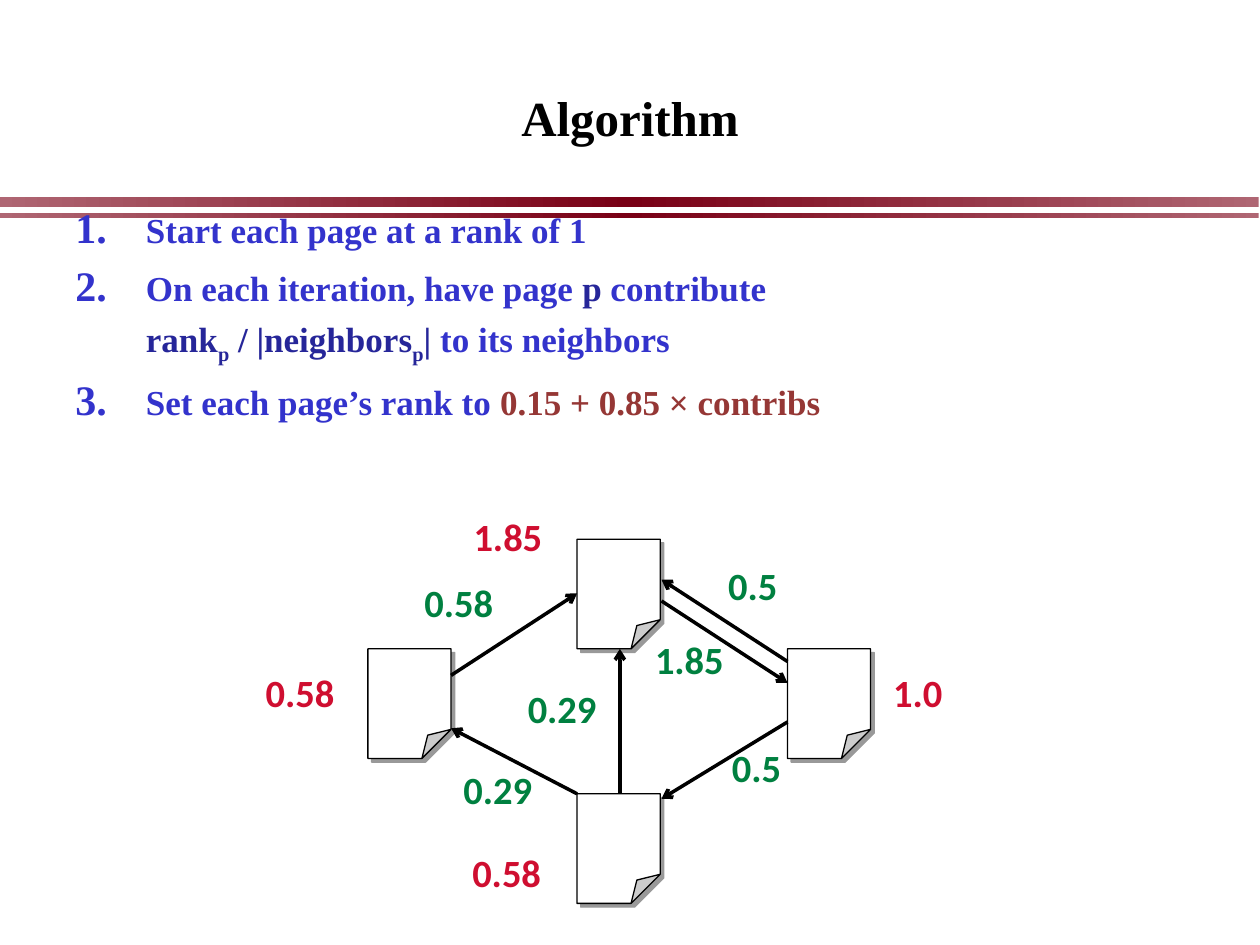
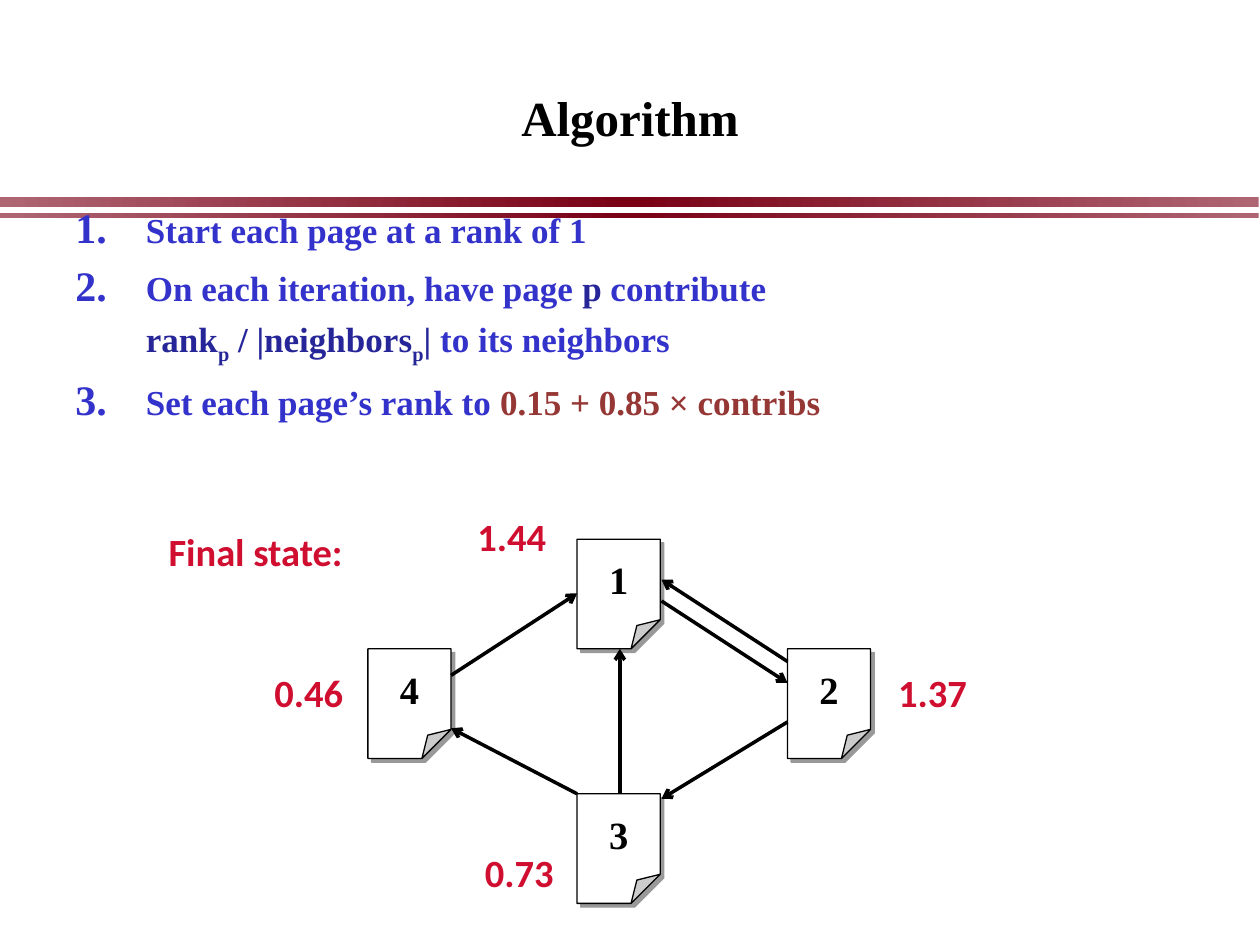
from copy import deepcopy

from lxml.etree import SubElement
from pptx import Presentation
from pptx.dml.color import RGBColor
from pptx.enum.shapes import MSO_CONNECTOR, MSO_SHAPE
from pptx.enum.text import MSO_ANCHOR, MSO_AUTO_SIZE, PP_ALIGN
from pptx.oxml.ns import qn
from pptx.util import Inches, Pt

COLOURS = {
    "ink": "000000",
    "paper": "FFFFFF",
    "band_edge": "AF6673",
    "band_middle": "790015",
    "step": "3333CC",
    "variable": "262699",
    "formula": "953735",
    "rank": "CF0E30",
    "contribution": "008040",
}
SERIF, SANS = "Times New Roman", "Calibri"
TITLE_ONLY = 5

# Each step is a list of (text, colour, is subscript); "\n" breaks the line.
STEPS = [
    [("Start each page at a rank of 1", "step", False)],
    [
        ("On each iteration, have page ", "step", False),
        ("p", "variable", False),
        (" contribute", "step", False),
        ("\n", "step", False),
        ("rank", "variable", False),
        ("p", "variable", True),
        (" / |neighbors", "variable", False),
        ("p", "variable", True),
        ("|", "variable", False),
        (" to its neighbors", "step", False),
    ],
    [
        ("Set each page’s rank to ", "step", False),
        ("0.15 + 0.85 × contribs", "formula", False),
    ],
]

PAGES = {"4": (2.92, 5.15), "1": (4.58, 4.28), "2": (6.25, 5.15), "3": (4.58, 6.3)}
LINKS = [
    ((4.58, 6.3), (3.58, 5.78)),
    ((4.92, 6.3), (4.92, 5.15)),
    ((3.58, 5.36), (4.58, 4.71)),
    ((6.25, 5.25), (5.25, 4.6)),
    ((5.25, 4.77), (6.25, 5.42)),
    ((6.25, 5.73), (5.25, 6.34)),
]
ITERATION_RANKS = [
    ("0.58", 2.01, 5.26),
    ("1.0", 6.99, 5.26),
    ("1.85", 3.66, 4.02),
    ("0.58", 3.65, 6.69),
]
CONTRIBUTIONS = [
    ("0.58", 3.27, 4.55),
    ("0.29", 3.58, 6.03),
    ("0.29", 4.09, 5.39),
    ("0.5", 5.68, 4.41),
    ("1.85", 5.1, 5),
    ("0.5", 5.71, 5.86),
]
FINAL_RANKS = [
    ("0.46", 2.08, 5.26),
    ("1.37", 7.03, 5.26),
    ("1.44", 3.69, 4.02),
    ("0.73", 3.75, 6.69),
]


def colour(name):
    return RGBColor.from_string(COLOURS[name])


class Deck:
    """Holds the presentation, its style and the slide being built."""

    def __init__(self):
        self.presentation = Presentation()
        self.presentation.slide_width = Inches(10)
        self.presentation.slide_height = Inches(7.5)
        self.slide = None

    def start_slide(self, title):
        layout = self.presentation.slide_layouts[TITLE_ONLY]
        self.slide = self.presentation.slides.add_slide(layout)
        self.band(1.56, 0.08)
        self.band(1.69, 0.04)
        heading = self.slide.shapes.title
        heading.left, heading.top = Inches(0.5), Inches(0.33)
        heading.width, heading.height = Inches(9), Inches(1.25)
        frame = heading.text_frame
        frame.text = title
        frame.auto_size = MSO_AUTO_SIZE.NONE
        frame.vertical_anchor = MSO_ANCHOR.MIDDLE
        frame.paragraphs[0].alignment = PP_ALIGN.CENTER
        frame.paragraphs[0].line_spacing = 0.9
        self.style(frame.paragraphs[0].runs[0], 28, SERIF, "ink")

    def style(self, run, size, typeface, colour_name):
        run.font.size = Pt(size)
        run.font.name = typeface
        run.font.bold = True
        run.font.color.rgb = colour(colour_name)

    def text_box(self, left, top, width, height):
        box = self.slide.shapes.add_textbox(
            Inches(left), Inches(top), Inches(width), Inches(height))
        box.text_frame.word_wrap = True
        return box.text_frame

    def band(self, top, height):
        """Draw a full-width rule that darkens towards its middle."""
        rule = self.slide.shapes.add_shape(
            MSO_SHAPE.RECTANGLE, 0, Inches(top), Inches(9.99), Inches(height))
        rule.shadow.inherit = False
        rule.line.fill.background()
        rule.fill.gradient()
        rule.fill.gradient_angle = 0
        stop_list = rule._element.spPr.find(".//" + qn("a:gsLst"))
        stop_list.append(deepcopy(stop_list[0]))
        shades = ("band_edge", "band_middle", "band_edge")
        for index, (stop, shade) in enumerate(zip(rule.fill.gradient_stops, shades)):
            stop.position = index / 2
            stop.color.rgb = colour(shade)

    def number(self, paragraph):
        """Give a paragraph a hanging automatic number."""
        properties = paragraph._p.get_or_add_pPr()
        properties.set("marL", str(Inches(0.56)))
        properties.set("indent", str(-Inches(0.56)))
        tint = SubElement(properties, qn("a:buClr"))
        SubElement(tint, qn("a:srgbClr"), val=COLOURS["step"])
        SubElement(properties, qn("a:buSzPct"), val="120000")
        SubElement(properties, qn("a:buFont"), typeface=SERIF)
        SubElement(properties, qn("a:buAutoNum"), type="arabicPeriod")

    def steps(self, steps):
        frame = self.text_box(0.5, 1.54, 9, 2.19)
        for index, step in enumerate(steps):
            paragraph = frame.add_paragraph() if index else frame.paragraphs[0]
            paragraph.line_spacing = 1.2
            if index:
                paragraph.space_before = Pt(4)
            self.number(paragraph)
            for text, colour_name, is_subscript in step:
                if text == "\n":
                    paragraph.add_line_break()
                    continue
                run = paragraph.add_run()
                run.text = text
                self.style(run, 20, SERIF, colour_name)
                if is_subscript:
                    run.font._element.set("baseline", "-25000")

    def page(self, left, top, name=""):
        sheet = self.slide.shapes.add_shape(
            MSO_SHAPE.FOLDED_CORNER, Inches(left), Inches(top), Inches(0.66), Inches(0.87))
        fold = sheet._element.spPr.find(".//" + qn("a:avLst"))
        SubElement(fold, qn("a:gd"), name="adj", fmla="val 35000")
        sheet.fill.solid()
        sheet.fill.fore_color.rgb = colour("paper")
        sheet.line.color.rgb = colour("ink")
        sheet.line.width = Pt(0.75)
        self.drop_shadow(sheet)
        if name:
            frame = sheet.text_frame
            frame.text = name
            frame.margin_left = frame.margin_right = Inches(0.24)
            frame.margin_top = frame.margin_bottom = Inches(0.12)
            frame.vertical_anchor = MSO_ANCHOR.MIDDLE
            frame.paragraphs[0].alignment = PP_ALIGN.CENTER
            self.style(frame.paragraphs[0].runs[0], 22, SERIF, "ink")

    def drop_shadow(self, shape):
        shape.shadow.inherit = False
        effects = shape._element.spPr.find(qn("a:effectLst"))
        shadow = SubElement(effects, qn("a:outerShdw"), blurRad="0",
                            dist=str(Pt(3)), dir="2700000", algn="tl", rotWithShape="0")
        tint = SubElement(shadow, qn("a:srgbClr"), val=COLOURS["ink"])
        SubElement(tint, qn("a:alpha"), val="40000")

    def arrow(self, start, end):
        link = self.slide.shapes.add_connector(
            MSO_CONNECTOR.STRAIGHT, *(Inches(length) for length in start + end))
        link.line.color.rgb = colour("ink")
        link.line.width = Pt(2)
        properties = link._element.spPr
        SubElement(properties.find(qn("a:ln")), qn("a:tailEnd"), type="arrow")
        SubElement(properties, qn("a:effectLst"))

    def label(self, text, left, top, colour_name, width=0.81):
        frame = self.text_box(left, top, width, 0.47)
        frame.text = text
        self.style(frame.paragraphs[0].runs[0], 22, SANS, colour_name)

    def labels(self, entries, colour_name):
        for text, left, top in entries:
            self.label(text, left, top, colour_name)

    def algorithm_slide(self, ranks, named_pages):
        """Build the title, the steps and the page graph with its ranks."""
        self.start_slide("Algorithm")
        self.steps(STEPS)
        for name, (left, top) in PAGES.items():
            self.page(left, top, name if named_pages else "")
        for start, end in LINKS:
            self.arrow(start, end)
        self.labels(ranks, "rank")


def main():
    deck = Deck()
    deck.algorithm_slide(ITERATION_RANKS, named_pages=False)
    deck.labels(CONTRIBUTIONS, "contribution")
    deck.algorithm_slide(FINAL_RANKS, named_pages=True)
    deck.label("Final state:", 1.24, 4.14, "rank", width=1.7)
    deck.presentation.save("out.pptx")


if __name__ == "__main__":
    main()
